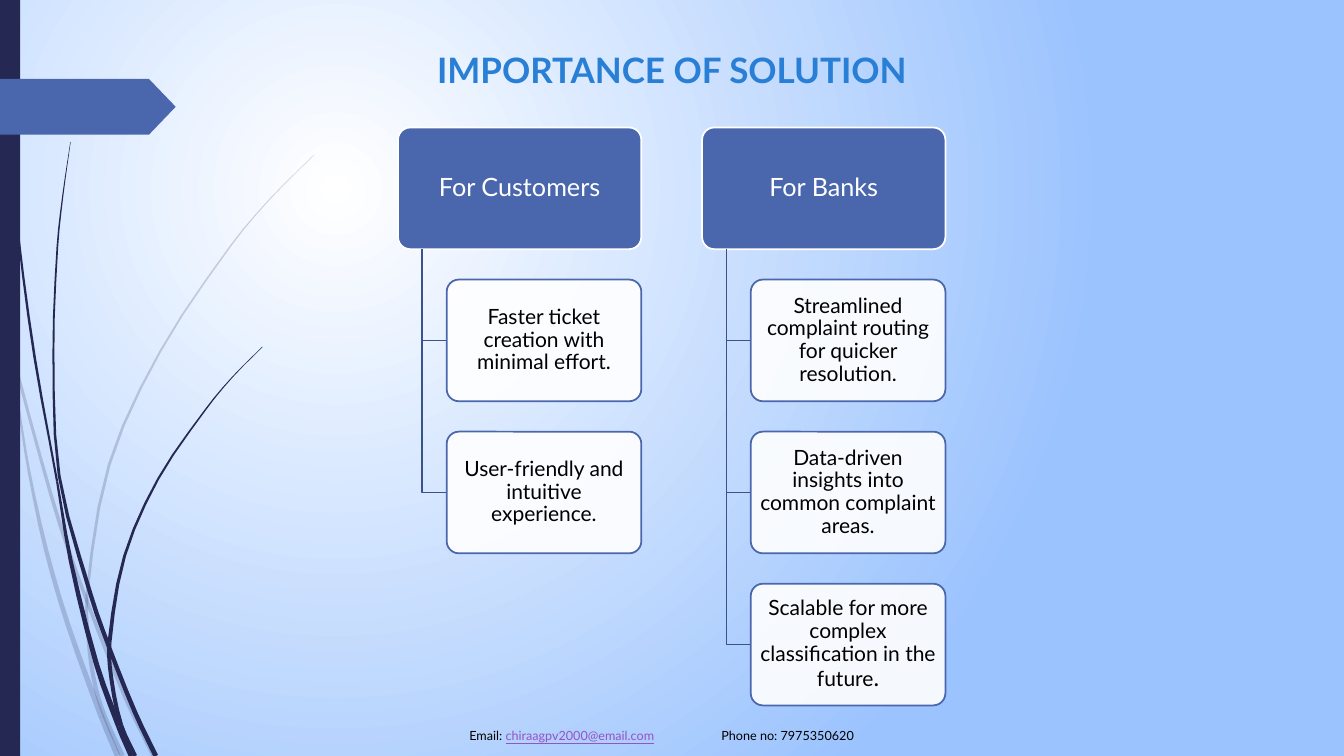
from math import dist, hypot

from lxml.etree import SubElement
from pptx import Presentation
from pptx.dml.color import RGBColor
from pptx.enum.shapes import MSO_SHAPE
from pptx.enum.text import MSO_ANCHOR, MSO_AUTO_SIZE, PP_ALIGN
from pptx.oxml.ns import qn
from pptx.util import Pt

FONT = "Lato"
NAVY, BLUE, LINK_BLUE = "242852", "4A66AC", "3B528A"
WHITE, BLACK = "FFFFFF", "000000"
SLIDE_W, SLIDE_H = 960, 540
CURVE_STEPS = 3

# Each benefit is a list of (text, size) runs.
BENEFITS = {
    "For Customers": [
        [("Faster ticket creation with minimal effort.", 15)],
        [("User-friendly and intuitive experience.", 15)],
    ],
    "For Banks": [
        [("Streamlined complaint routing for quicker resolution.", 15)],
        [("Data-driven insights into common complaint areas.", 15)],
        [("Scalable for more complex classification in the future", 15), (".", 17)],
    ],
}

# Each blade of grass is a list of (x, y, thickness) along its middle,
# with the indexes of the nodes where one stretch ends and the next begins.
PALE_BLADES = [
    ([(0, 209, 2.5), (9, 252, 2.2), (27, 320, 2.2), (43, 375, 2.7),
      (62, 429, 2.5), (90, 499, 3), (110, 540, 3.5)], [1, 4]),
    ([(8, 252, 0.5), (14, 295, 1.5), (21, 338, 2), (33, 393, 3),
      (48.5, 446, 3.4), (72.5, 512, 4), (84, 540, 4)], [5]),
    ([(224.5, 110.5, 0.3), (193, 142, 0.6), (164.5, 176, 1), (114.5, 251, 1.4),
      (78, 332, 2), (62.2, 425, 2), (64, 465, 2.8), (68.5, 492, 3),
      (75, 512, 3), (87.5, 540, 3.5)], [5, 8]),
]
DARK_BLADES = [
    ([(2.5, 0, 0.6), (3.2, 34.5, 0.6), (5.4, 79, 0.8), (13, 167, 1.4),
      (24.8, 255.6, 1.8), (40.8, 344, 1.5), (50.5, 400.5, 2.8),
      (68.8, 474, 3.6), (85, 519, 4), (94, 540, 4)], [5, 8]),
    ([(50.4, 101.5, 0.3), (45, 139, 0.8), (41, 176.5, 1.2), (38.2, 251, 1.4),
      (42.3, 340, 2), (65, 425.5, 3), (77.8, 462, 3),
      (96.5, 509, 3.2), (111.3, 540, 3.5)], [4, 6]),
    ([(187.5, 247.7, 0.3), (166.3, 269, 0.6), (147.2, 292, 1), (113, 342, 1.5),
      (89, 397, 2), (78.2, 459, 2.8), (79.6, 485, 2.8), (86.5, 518, 3),
      (96.5, 540, 3)], [5, 7]),
]


def color(hex_code):
    return RGBColor.from_string(hex_code)


def paint(shape, fill=None, line=None, weight=1.25, opacity=100):
    shape.shadow.inherit = False
    if fill:
        shape.fill.solid()
        shape.fill.fore_color.rgb = color(fill)
        if opacity < 100:
            srgb = shape.fill._xPr.find(".//" + qn("a:srgbClr"))
            SubElement(srgb, qn("a:alpha"), val=str(opacity * 1000))
    else:
        shape.fill.background()
    if line:
        shape.line.color.rgb = color(line)
        shape.line.width = Pt(weight)
    else:
        shape.line.fill.background()


def write(shape, *runs, ink=BLACK, bold=False, spacing=1.0, margins=(7.2, 3.6)):
    """Fill a shape with one centred paragraph of (text, size[, own colour]) runs.

    A run with a colour of its own is underlined.
    """
    frame = shape.text_frame
    frame.word_wrap = True
    frame.auto_size = MSO_AUTO_SIZE.NONE
    frame.vertical_anchor = MSO_ANCHOR.MIDDLE
    frame.margin_left = frame.margin_right = Pt(margins[0])
    frame.margin_top = frame.margin_bottom = Pt(margins[1])
    paragraph = frame.paragraphs[0]
    paragraph.alignment = PP_ALIGN.CENTER
    paragraph.line_spacing = spacing
    for words, size, *own_ink in runs:
        run = paragraph.add_run()
        run.text = words
        run.font.name = FONT
        run.font.size = Pt(size)
        run.font.bold = bold
        run.font.underline = bool(own_ink)
        run.font.color.rgb = color(own_ink[0] if own_ink else ink)


def outline(slide, points, close):
    (x, y), *rest = [(Pt(px), Pt(py)) for px, py in points]
    builder = slide.shapes.build_freeform(x, y)
    builder.add_line_segments(rest, close=close)
    return builder.convert_to_shape()


def add_shape(slide, kind, x, y, w, h):
    return slide.shapes.add_shape(kind, Pt(x), Pt(y), Pt(w), Pt(h))


def add_background(slide):
    fill = slide.background.fill
    fill.gradient()
    for stop, hex_code, position in zip(fill.gradient_stops, (WHITE, "9BC3FE"), (0, 1)):
        stop.color.rgb = color(hex_code)
        stop.position = position
    gradient = fill._xPr.find(qn("a:gradFill"))
    gradient.remove(gradient.find(qn("a:lin")))
    circle = SubElement(gradient, qn("a:path"), {"path": "circle"})
    SubElement(circle, qn("a:fillToRect"), l="50000", t="50000", r="100000", b="100000")


def smooth(nodes):
    """Sample a cubic curve through the nodes, with tangents scaled to the spacing."""
    padded = [nodes[0], *nodes, nodes[-1]]
    samples = []
    for a, b, c, d in zip(padded, padded[1:], padded[2:], padded[3:]):
        gap = dist(b, c)
        start, end = gap / (dist(a, b) + gap), gap / (gap + dist(c, d))
        for t in (step / CURVE_STEPS for step in range(CURVE_STEPS)):
            samples.append(tuple(
                q + (r - q) * t * t * (3 - 2 * t)
                + (r - p) * start * t * (1 - t) ** 2 - (s - q) * end * t * t * (1 - t)
                for p, q, r, s in zip(a, b, c, d)))
    return samples + [nodes[-1]]


def add_blade(slide, nodes, joints, opacity):
    middle = smooth(nodes)
    left, right = [], []
    for i, (x, y, thickness) in enumerate(middle):
        before, after = middle[max(i - 1, 0)], middle[min(i + 1, len(middle) - 1)]
        dx, dy = after[0] - before[0], after[1] - before[1]
        half = thickness / 2 / hypot(dx, dy)
        left.append((x - dy * half, y + dx * half))
        right.append((x + dy * half, y - dx * half))
    cuts = [0, *joints, len(nodes) - 1]
    for first, last in zip(cuts, cuts[1:]):
        stretch = slice(first * CURVE_STEPS, last * CURVE_STEPS + 1)
        edge = left[stretch] + right[stretch][::-1]
        paint(outline(slide, edge, close=True), NAVY, opacity=opacity)


def add_left_decoration(slide):
    for blades, opacity in ((PALE_BLADES, 20), (DARK_BLADES, 100)):
        for nodes, joints in blades:
            add_blade(slide, nodes, joints, opacity)
    paint(add_shape(slide, MSO_SHAPE.RECTANGLE, 0, 0, 14.4, SLIDE_H), NAVY)
    tag = add_shape(slide, MSO_SHAPE.PENTAGON, 0, 56.4, 125.5, 39.8)
    tag.adjustments[0] = 0.48
    paint(tag, BLUE)


def add_title(slide, x, y, w, h):
    title = slide.shapes.title
    title.left, title.top, title.width, title.height = Pt(x), Pt(y), Pt(w), Pt(h)
    write(title, ("IMPORTANCE OF SOLUTION", 25), ink="297FD5", bold=True)


def add_card(slide, x, y, w, h, runs, ink, **look):
    card = add_shape(slide, MSO_SHAPE.ROUNDED_RECTANGLE, x, y, w, h)
    card.adjustments[0] = 0.1
    paint(card, **look)
    write(card, *runs, ink=ink, spacing=0.9, margins=(2.2, 1.5))


def add_benefit_column(slide, x, y, w, h, audience, benefits):
    """Place a heading card of size w by h, with its benefits hung below it."""
    indent = w / 5
    trunk = x + indent / 2
    add_card(slide, x, y, w, h, [(audience, 18)], WHITE, fill=BLUE, line=WHITE)
    for row, benefit in enumerate(benefits, start=1):
        top = y + row * h * 1.25
        branch = [(trunk, y + h), (trunk, top + h / 2), (x + indent, top + h / 2)]
        paint(outline(slide, branch, close=False), line=LINK_BLUE)
        add_card(slide, x + indent, top, w - indent, h, benefit, BLACK,
                 fill=WHITE, line=BLUE, opacity=90)


def add_contact(slide, x, y, w, h):
    contact = slide.shapes.add_textbox(Pt(x), Pt(y), Pt(w), Pt(h))
    write(contact, ("Email: ", 9), ("chiraagpv2000@email.com", 9, "9454C3"),
          ("\t\tPhone no: 7975350620", 9))


def main():
    deck = Presentation()
    deck.slide_width, deck.slide_height = Pt(SLIDE_W), Pt(SLIDE_H)
    slide = deck.slides.add_slide(deck.slide_layouts[5])
    add_background(slide)
    add_left_decoration(slide)
    add_contact(slide, 204.3, 510.5, 536.4, 29.5)
    add_title(slide, 294.5, 31, 370.8, 37.4)
    for column, (audience, benefits) in enumerate(BENEFITS.items()):
        add_benefit_column(slide, 284.3 + column * 217.2, 91.1, 173.8, 86.9,
                           audience, benefits)
    deck.save("out.pptx")


if __name__ == "__main__":
    main()
